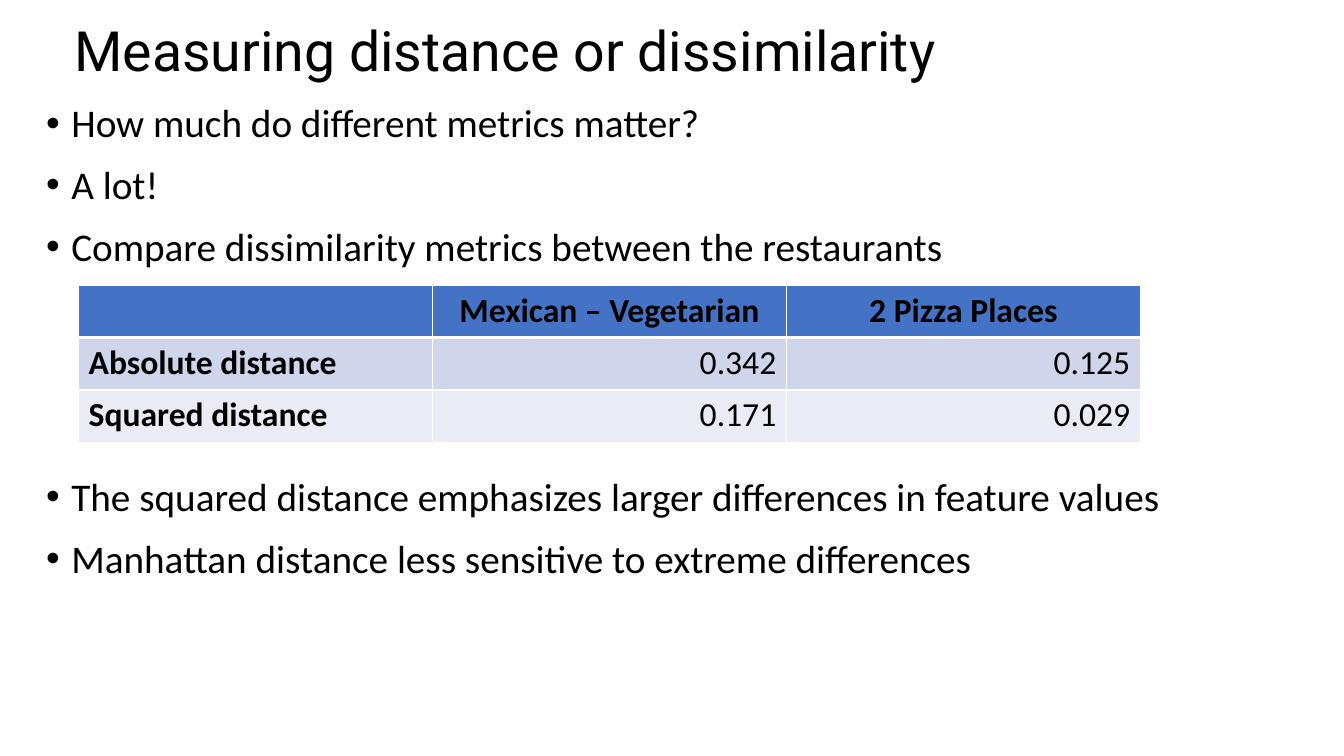
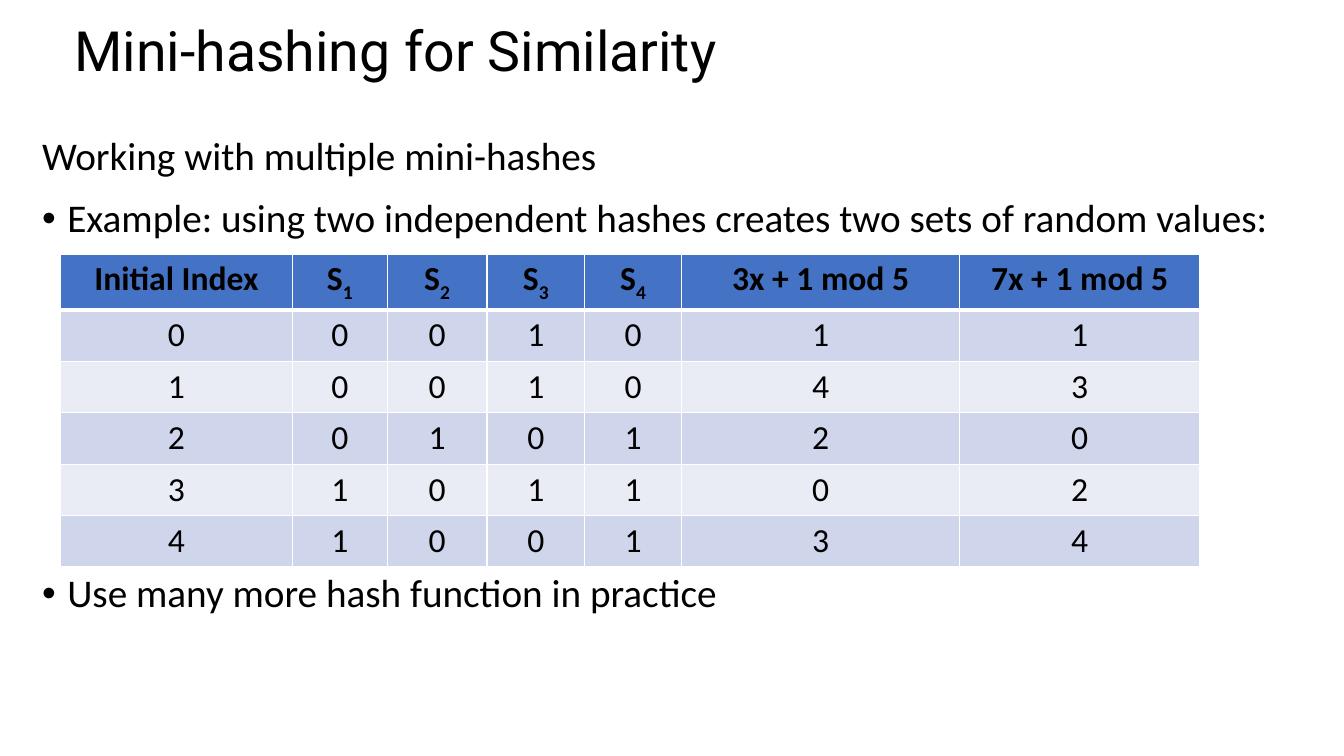
from lxml import etree
from pptx import Presentation, util as u
from pptx.dml.color import RGBColor
from pptx.enum import text as t
from pptx.oxml.ns import qn

COLORS = {"ink": "000000", "header": "4472C4", "odd": "CFD5EA",
          "even": "E9EBF5", "rule": "FFFFFF"}
BODY_FONT, TITLE_FONT = "Calibri", "Roboto"
BODY_SIZE, BODY_GAP, LINE_SPACING = 28, 14, 0.9
LINE_PITCH = BODY_SIZE * 1.22 * LINE_SPACING + BODY_GAP  # one body line, in points
LEFT, CENTER, RIGHT = t.PP_ALIGN.LEFT, t.PP_ALIGN.CENTER, t.PP_ALIGN.RIGHT


def write(paragraph, content, size=24, font=BODY_FONT, bold=False, align=LEFT,
          spacing=None, before=0, bullet=False):
    """Fill a paragraph; what follows an underscore is set as a subscript."""
    paragraph.alignment = align
    paragraph.line_spacing = spacing
    paragraph.space_before = u.Pt(before)
    if bullet:
        props = paragraph._p.get_or_add_pPr()
        props.set("marL", str(u.Inches(0.25)))
        props.set("indent", str(u.Inches(-0.25)))
        etree.SubElement(props, qn("a:buFont")).set("typeface", "Arial")
        etree.SubElement(props, qn("a:buChar")).set("char", "•")
    base, _, subscript = content.partition("_")
    for part in filter(None, (base, subscript)):
        run = paragraph.add_run()
        run.text = part
        run.font.size, run.font.name, run.font.bold = u.Pt(size), font, bold
        run.font.color.rgb = RGBColor.from_string(COLORS["ink"])
    if subscript:
        run.font._element.set("baseline", "-25000")


def style_cell(cell, fill, top=1, bottom=1):
    """Give a cell white rules (widths in points) and a solid fill."""
    props = cell._tc.get_or_add_tcPr()
    for side, width in (("L", 1), ("R", 1), ("T", top), ("B", bottom)):
        rule = etree.SubElement(props, qn(f"a:ln{side}"), w=str(u.Pt(width)))
        paint = etree.SubElement(rule, qn("a:solidFill"))
        etree.SubElement(paint, qn("a:srgbClr"), val=COLORS["rule"])
    cell.fill.solid()
    cell.fill.fore_color.rgb = RGBColor.from_string(COLORS[fill])


# Each body line: text, bulleted or not, body lines left free above it for the table.
SLIDES = [
    dict(
        title="Measuring distance or dissimilarity",
        body_at=(0.36, 0.98, 12.6, 6.23),
        lines=[
            ("How much do different metrics matter?", True, 0),
            ("A lot!", True, 0),
            ("Compare dissimilarity metrics between the restaurants", True, 0),
            ("The squared distance emphasizes larger differences in feature values", True, 3),
            ("Manhattan distance less sensitive to extreme differences", True, 0),
        ],
        table_at=(0.78, 2.83),
        columns=[3.51] * 3,
        header_height=0.52, row_height=0.52,
        label_align=LEFT, label_bold=True, value_align=RIGHT,
        rows=[
            ["", "Mexican – Vegetarian", "2 Pizza Places"],
            ["Absolute distance", "0.342", "0.125"],
            ["Squared distance", "0.171", "0.029"],
        ],
    ),
    dict(
        title="Mini-hashing for Similarity",
        body_at=(0.32, 1.31, 12.6, 5.71),
        lines=[
            ("Working with multiple mini-hashes", False, 0),
            ("Example: using two independent hashes creates two sets of random values:", True, 0),
            ("Use many more hash function in practice", True, 5),
        ],
        table_at=(0.6, 2.52),
        columns=[2.3, 0.94, 0.99, 0.97, 0.96, 2.76, 2.38],
        header_height=0.54, row_height=0.51,
        label_align=CENTER, label_bold=False, value_align=CENTER,
        rows=[
            ["Initial Index", "S_1", "S_2", "S_3", "S_4", "3x + 1 mod 5", "7x + 1 mod 5"],
            *("0001011", "1001043", "2010120", "3101102", "4100134"),
        ],
    ),
]

deck = Presentation()
deck.slide_width, deck.slide_height = u.Inches(13.33), u.Inches(7.5)

for content in SLIDES:
    slide = deck.slides.add_slide(deck.slide_layouts[6])

    title = slide.shapes.add_textbox(*map(u.Inches, (0.64, 0.24, 11.5, 0.58))).text_frame
    title.word_wrap = True
    title.vertical_anchor = t.MSO_ANCHOR.MIDDLE
    write(title.paragraphs[0], content["title"], size=39.6, font=TITLE_FONT,
          spacing=LINE_SPACING)

    body = slide.shapes.add_textbox(*map(u.Inches, content["body_at"])).text_frame
    body.word_wrap = True
    for number, (line, bullet, free) in enumerate(content["lines"]):
        paragraph = body.add_paragraph() if number else body.paragraphs[0]
        write(paragraph, line, size=BODY_SIZE, spacing=LINE_SPACING,
              before=BODY_GAP + free * LINE_PITCH, bullet=bullet)

    rows, columns = content["rows"], content["columns"]
    heights = [content["header_height"]] + [content["row_height"]] * (len(rows) - 1)
    grid = slide.shapes.add_table(
        len(rows), len(columns),
        *map(u.Inches, (*content["table_at"], sum(columns), sum(heights)))).table
    for column, width in zip(grid.columns, columns):
        column.width = u.Inches(width)
    for r, (row, height) in enumerate(zip(rows, heights)):
        grid.rows[r].height = u.Inches(height)
        fill = "header" if r == 0 else "odd" if r % 2 else "even"
        for c, entry in enumerate(row):
            cell = grid.cell(r, c)
            style_cell(cell, fill, top=3 if r == 1 else 1, bottom=3 if r == 0 else 1)
            align = content["value_align"] if c else content["label_align"]
            write(cell.text_frame.paragraphs[0], entry,
                  bold=r == 0 or (c == 0 and content["label_bold"]),
                  align=align if r else CENTER)

deck.save("out.pptx")
